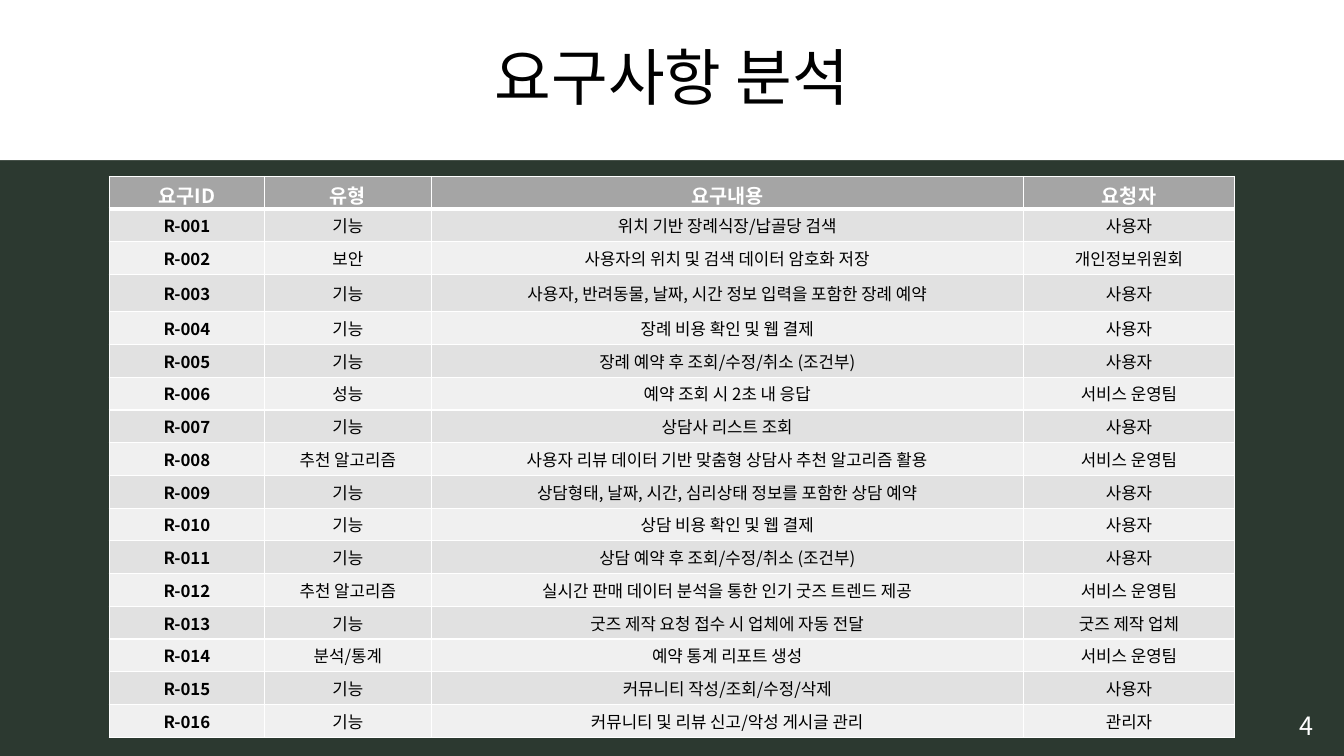
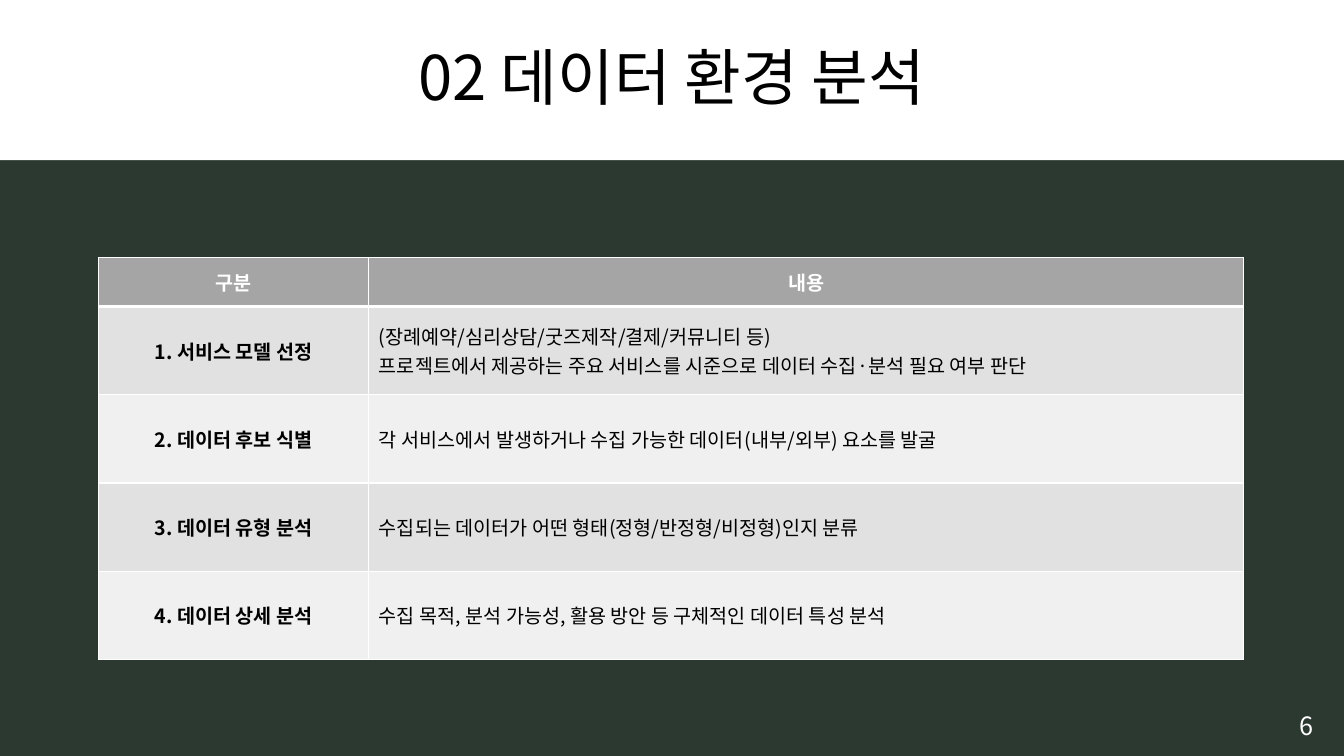
from lxml.etree import SubElement
from pptx import Presentation
from pptx.dml.color import RGBColor
from pptx.enum.text import MSO_ANCHOR, MSO_AUTO_SIZE, PP_ALIGN
from pptx.oxml.ns import qn
from pptx.util import Pt

GREEN = RGBColor(0x2C, 0x39, 0x30)
WHITE = RGBColor(0xFF, 0xFF, 0xFF)
BLACK = RGBColor(0x00, 0x00, 0x00)
HEAD = RGBColor(0xA5, 0xA5, 0xA5)
BANDS = (RGBColor(0xF0, 0xF0, 0xF0), RGBColor(0xE1, 0xE1, 0xE1))
FONT = "Noto Sans CJK KR"
WIDTH, HEIGHT = 960, 540
USER, TEAM, FUNC = "사용자", "서비스 운영팀", "기능"

NEEDS = [
    (FUNC, "위치 기반 장례식장/납골당 검색", USER),
    ("보안", "사용자의 위치 및 검색 데이터 암호화 저장", "개인정보위원회"),
    (FUNC, "사용자, 반려동물, 날짜, 시간 정보 입력을 포함한 장례 예약", USER),
    (FUNC, "장례 비용 확인 및 웹 결제", USER),
    (FUNC, "장례 예약 후 조회/수정/취소 (조건부)", USER),
    ("성능", "예약 조회 시 2초 내 응답", TEAM),
    (FUNC, "상담사 리스트 조회", USER),
    ("추천 알고리즘", "사용자 리뷰 데이터 기반 맞춤형 상담사 추천 알고리즘 활용", TEAM),
    (FUNC, "상담형태, 날짜, 시간, 심리상태 정보를 포함한 상담 예약", USER),
    (FUNC, "상담 비용 확인 및 웹 결제", USER),
    (FUNC, "상담 예약 후 조회/수정/취소 (조건부)", USER),
    ("추천 알고리즘", "실시간 판매 데이터 분석을 통한 인기 굿즈 트렌드 제공", TEAM),
    (FUNC, "굿즈 제작 요청 접수 시 업체에 자동 전달", "굿즈 제작 업체"),
    ("분석/통계", "예약 통계 리포트 생성", TEAM),
    (FUNC, "커뮤니티 작성/조회/수정/삭제", USER),
    (FUNC, "커뮤니티 및 리뷰 신고/악성 게시글 관리", "관리자"),
]
STEPS = [
    ("구분", "내용"),
    ("1. 서비스 모델 선정",
     "(장례예약/심리상담/굿즈제작/결제/커뮤니티 등)\n"
     "프로젝트에서 제공하는 주요 서비스를 시준으로 데이터 수집·분석 필요 여부 판단"),
    ("2. 데이터 후보 식별", "각 서비스에서 발생하거나 수집 가능한 데이터(내부/외부) 요소를 발굴"),
    ("3. 데이터 유형 분석", "수집되는 데이터가 어떤 형태(정형/반정형/비정형)인지 분류"),
    ("4. 데이터 상세 분석", "수집 목적, 분석 가능성, 활용 방안 등 구체적인 데이터 특성 분석"),
]


def write(frame, text, size, color, bold=False, align=PP_ALIGN.CENTER, font=FONT):
    for i, line in enumerate(text.split("\n")):
        para = frame.add_paragraph() if i else frame.paragraphs[0]
        para.alignment = align
        run = para.add_run()
        run.text = line
        run.font.size = Pt(size)
        run.font.bold = bold
        run.font.color.rgb = color
        run.font.name = font
        SubElement(run._r.get_or_add_rPr(), qn("a:ea"), typeface=FONT)


def style_layout(layout):
    layout.background.fill.solid()
    layout.background.fill.fore_color.rgb = GREEN
    band = layout.placeholders[0]
    band.left, band.top = Pt(0), Pt(0)
    band.width, band.height = Pt(WIDTH), Pt(114.5)
    band.fill.solid()
    band.fill.fore_color.rgb = WHITE
    band.text_frame.vertical_anchor = MSO_ANCHOR.MIDDLE
    band.text_frame.auto_size = MSO_AUTO_SIZE.NONE


def add_page(deck, layout, title, number, font=FONT):
    slide = deck.slides.add_slide(layout)
    frame = slide.shapes.title.text_frame
    write(frame, title, 44, BLACK, font=font)
    frame.paragraphs[0].line_spacing = 0.9
    box = slide.shapes.add_textbox(Pt(906.5), Pt(503.5), Pt(53.5), Pt(29))
    box.text_frame.word_wrap = True
    write(box.text_frame, number, 18, WHITE)
    return slide


def draw_edge(cell, side, width):
    line = SubElement(cell._tc.get_or_add_tcPr(), qn("a:ln" + side), w=str(Pt(width)))
    fill = SubElement(line, qn("a:solidFill"))
    SubElement(fill, qn("a:srgbClr"), val=str(WHITE))


def fill_cell(cell, text, row, col, size, align, pad):
    for side in "LRTB":
        thick = (row, side) in ((0, "B"), (1, "T"))
        draw_edge(cell, side, 3 if thick else 1)
    cell.fill.solid()
    cell.fill.fore_color.rgb = BANDS[row % 2] if row else HEAD
    cell.vertical_anchor = MSO_ANCHOR.MIDDLE
    top, low = (2, 2) if row else pad
    cell.margin_top, cell.margin_bottom = Pt(top), Pt(low)
    if row:
        write(cell.text_frame, text, size, BLACK, col == 0, align)
    else:
        write(cell.text_frame, text, 14, WHITE, True)


def add_grid(slide, left, top, cols, rows, data, size, aligns, pad=(2, 2)):
    grid = slide.shapes.add_table(
        len(rows), len(cols), Pt(left), Pt(top), Pt(sum(cols)), Pt(sum(rows))).table
    grid.horz_banding = False
    for col, width in zip(grid.columns, cols):
        col.width = Pt(width)
    for r, (high, texts) in enumerate(zip(rows, data)):
        grid.rows[r].height = Pt(high)
        for c, text in enumerate(texts):
            fill_cell(grid.cell(r, c), text, r, c, size, aligns[c], pad)


def main():
    deck = Presentation()
    deck.slide_width, deck.slide_height = Pt(WIDTH), Pt(HEIGHT)
    layout = deck.slide_layouts[5]
    style_layout(layout)

    needs = [("요구ID", "유형", "요구내용", "요청자")]
    needs += [(f"R-{i:03}", *need) for i, need in enumerate(NEEDS, 1)]
    rows = [26.5 if i == 3 else 23.4 for i in range(len(needs))]
    slide = add_page(deck, layout, "요구사항 분석", "4", "Lato")
    add_grid(slide, 78, 126, [111, 119, 423, 151], rows, needs, 12,
             [PP_ALIGN.CENTER] * 4, (3, 0))

    slide = add_page(deck, layout, "02 데이터 환경 분석", "6")
    add_grid(slide, 70.5, 184, [193, 625], [35] + [63] * 4, STEPS, 14,
             [PP_ALIGN.CENTER, PP_ALIGN.LEFT])
    deck.save("out.pptx")


if __name__ == "__main__":
    main()
